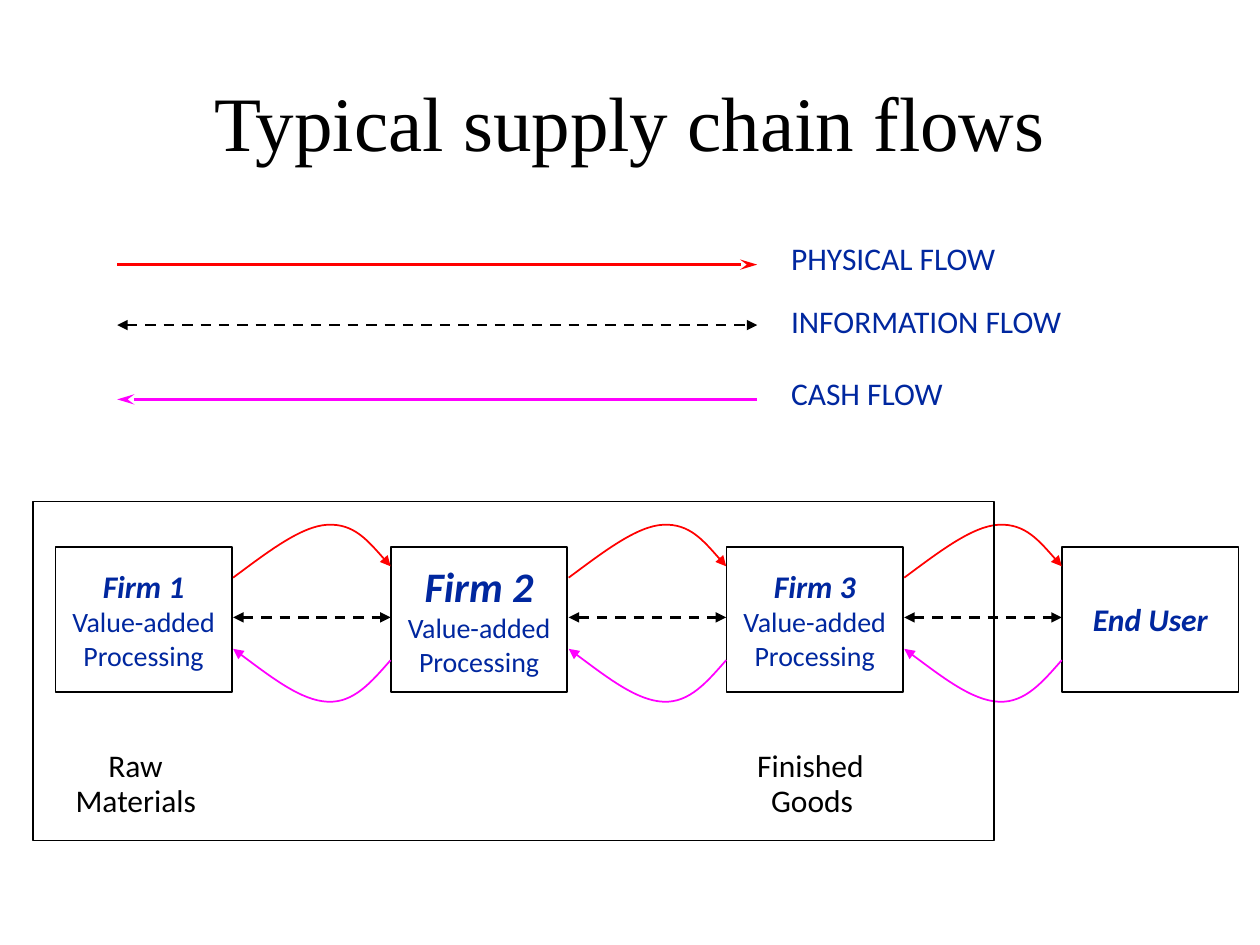
from pptx import Presentation
from pptx.util import Inches, Pt
from pptx.dml.color import RGBColor
from pptx.enum.dml import MSO_LINE_DASH_STYLE as Dash
from pptx.enum.shapes import MSO_SHAPE as Shape, MSO_CONNECTOR as Conn
from pptx.enum.text import PP_ALIGN as Align, MSO_ANCHOR as Anchor, MSO_AUTO_SIZE as Fit
from pptx.oxml.ns import qn
from lxml.etree import SubElement

BLUE, BLACK, RED, PINK = "00279F", "000000", "FF0000", "FF00FF"


def stroke(shape, color, width, head=None, tail=None, dash=False):
    """Style an outline with colour, width, dashes and arrowheads, without shadow."""
    line = shape.line
    line.color.rgb = RGBColor.from_string(color)
    line.width = Pt(width)
    if dash:
        line.dash_style = Dash.DASH
    for end, kind in (("a:headEnd", head), ("a:tailEnd", tail)):
        if kind:
            size = "lg" if kind == "stealth" else "med"
            SubElement(line._get_or_add_ln(), qn(end), type=kind, w="med", len=size)
    SubElement(shape._element.spPr, qn("a:effectLst"))


def write(frame, rows, align, font="Calibri"):
    """Fill a text frame with one paragraph per (text, size, colour, strong) row."""
    for i, (text, size, color, strong) in enumerate(rows):
        para = frame.add_paragraph() if i else frame.paragraphs[0]
        para.alignment = align
        run = para.add_run()
        run.text = text
        run.font.name = font
        run.font.size = Pt(size)
        run.font.bold = run.font.italic = strong
        run.font.color.rgb = RGBColor.from_string(color)


deck = Presentation()
deck.slide_width, deck.slide_height = Inches(10), Inches(7.5)
slide = deck.slides.add_slide(deck.slide_layouts[5])
shapes = slide.shapes

title = shapes.title
title.left, title.top = Inches(0.75), Inches(0.33)
title.width, title.height = Inches(8.5), Inches(1.25)
title.text_frame.vertical_anchor = Anchor.MIDDLE
write(title.text_frame, [("Typical supply chain flows", 44, BLACK, False)],
      Align.CENTER, "Times New Roman")

# Legend: label, its top and width, then the arrow from x1 to x2
legend = [
    ("INFORMATION FLOW", 2.35, 2.4, 0.93, 6.01, 2.58, BLACK, "triangle", "triangle"),
    ("CASH FLOW", 2.92, 1.43, 6.01, 0.93, 3.17, PINK, None, "stealth"),
    ("PHYSICAL FLOW", 1.85, 1.85, 0.93, 6.01, 2.1, RED, None, "stealth"),
]
for text, top, width, x1, x2, y, color, head, tail in legend:
    label = shapes.add_textbox(Inches(6.18), Inches(top), Inches(width), Inches(0.4))
    label.text_frame.word_wrap = False
    label.text_frame.auto_size = Fit.SHAPE_TO_FIT_TEXT
    write(label.text_frame, [(text, 18, BLUE, False)], Align.LEFT)
    arrow = shapes.add_connector(Conn.STRAIGHT, Inches(x1), Inches(y),
                                 Inches(x2), Inches(y))
    stroke(arrow, color, 1.5, head, tail, color == BLACK)

# Members of the chain
STEP = 7.99 / 3
work = [("Value-added", 16, BLUE, False), ("Processing", 16, BLUE, False)]
firms = [("Firm 1", 18, work), ("Firm 2", 24, work), ("Firm 3", 18, work),
         ("End User", 18, [])]
for i, (name, size, rest) in enumerate(firms):
    box = shapes.add_shape(Shape.RECTANGLE, Inches(0.44 + i * STEP), Inches(4.34),
                           Inches(1.4), Inches(1.15))
    box.fill.background()
    stroke(box, BLACK, 1)
    box.text_frame.word_wrap = False
    box.text_frame.vertical_anchor = Anchor.MIDDLE
    write(box.text_frame, [(name, size, BLUE, True)] + rest, Align.CENTER)

# Captions under the first and third firm
captions = [("Raw", 0.86, 5.92, 0.44), ("Materials", 0.6, 6.2, 0.97),
            ("Finished", 6.01, 5.92, 0.86), ("Goods", 6.12, 6.2, 0.66)]
for word, left, top, width in captions:
    note = shapes.add_textbox(Inches(left), Inches(top), Inches(width), Inches(0.3))
    frame = note.text_frame
    frame.word_wrap = False
    frame.auto_size = Fit.SHAPE_TO_FIT_TEXT
    frame.margin_left = frame.margin_right = frame.margin_top = frame.margin_bottom = 0
    write(frame, [(word, 18, BLACK, False)], Align.LEFT)

# Flows between neighbours; the physical flow mirrors the cash flow
curve = [(3.1, 5.24), (2.95, 5.41), (2.81, 5.58), (2.6, 5.57),
         (2.39, 5.56), (2.12, 5.35), (1.85, 5.15)]
for i in range(3):
    shift = i * STEP
    info = shapes.add_connector(Conn.STRAIGHT, Inches(1.85 + shift), Inches(4.9),
                                Inches(3.1 + shift), Inches(4.9))
    stroke(info, BLACK, 1.5, "triangle", "triangle", True)
    for color, base, sign, head, tail in ((PINK, 0, 1, None, "triangle"),
                                          (RED, 9.735, -1, "triangle", None)):
        points = [(Inches(x + shift), Inches(base + sign * y)) for x, y in curve]
        pen = shapes.build_freeform(*points[0])
        pen.add_line_segments(points[1:], close=False)
        flow = pen.convert_to_shape()
        # Each three line segments become one Bezier arc
        lines = list(flow._element.iter(qn("a:lnTo")))
        route = lines[0].getparent()
        for k in range(0, len(lines), 3):
            arc = SubElement(route, qn("a:cubicBezTo"))
            for part in lines[k:k + 3]:
                arc.append(part[0])
                route.remove(part)
        flow.fill.background()
        stroke(flow, color, 1, head, tail)

# Boundary of the chain
frame = shapes.add_shape(Shape.RECTANGLE, Inches(0.26), Inches(3.98),
                         Inches(7.63), Inches(2.69))
frame.fill.background()
stroke(frame, BLACK, 1)

deck.save("out.pptx")
